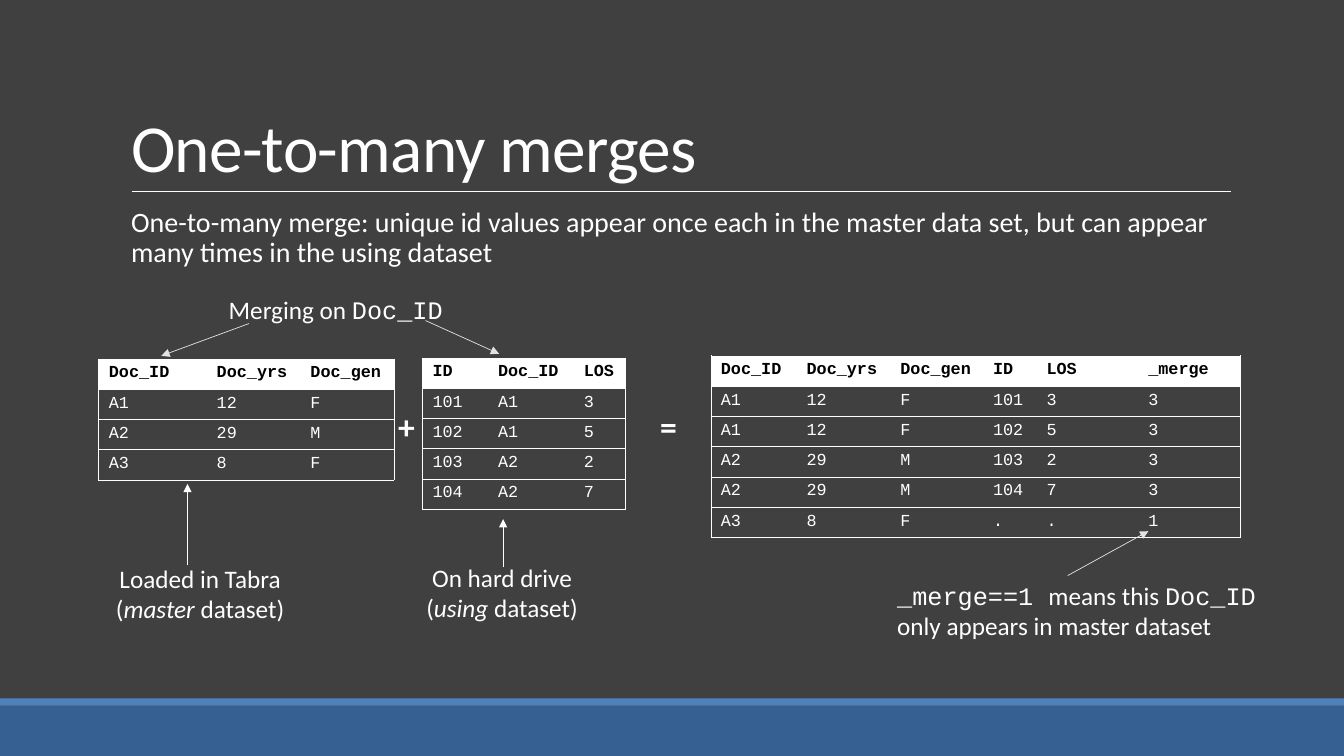
from dataclasses import dataclass

from lxml import etree
from pptx import Presentation
from pptx.dml.color import RGBColor
from pptx.enum.shapes import MSO_CONNECTOR, MSO_SHAPE
from pptx.enum.text import MSO_ANCHOR, MSO_AUTO_SIZE, PP_ALIGN
from pptx.oxml.ns import qn
from pptx.slide import Slide
from pptx.text.text import TextFrame, _Paragraph
from pptx.util import Inches, Pt

LEFT, CENTER = PP_ALIGN.LEFT, PP_ALIGN.CENTER
BOTTOM, NO_AUTOFIT = MSO_ANCHOR.BOTTOM, MSO_AUTO_SIZE.NONE
STRAIGHT, RECTANGLE = MSO_CONNECTOR.STRAIGHT, MSO_SHAPE.RECTANGLE
SANS, MONO = "Calibri", "Courier New"
WHITE, BLACK, PALE = "FFFFFF", "000000", "DFE3E5"
ROW_HEIGHT = 0.3
HAIRLINE = Pt(0.5)


@dataclass
class Span:
    text: str
    size: float = 18
    font: str = SANS
    color: str = WHITE
    bold: bool = False
    italic: bool = False


@dataclass
class Label:
    box: tuple[float, float, float, float]
    spans: list[Span]
    align: PP_ALIGN = LEFT


@dataclass
class Line:
    start: tuple[float, float]
    end: tuple[float, float]
    color: str = WHITE
    arrow: bool = True


@dataclass
class Dataset:
    left: float
    top: float
    widths: list[float]
    rows: list[str]


BANDS = [((0, 7, 13.33, 0.5), "376092"), ((0, 6.93, 13.33, 0.07), "4F81BD")]

LABELS = [
    Label((0.92, 5.54, 2.13, 0.71),
          [Span("Loaded in Tabra ("), Span("master", italic=True), Span(" dataset)")], CENTER),
    Label((4.08, 5.53, 1.8, 0.71),
          [Span("On hard drive ("), Span("using", italic=True), Span(" dataset)")], CENTER),
    Label((6.45, 3.98, 0.27, 0.5), [Span("=", 24, bold=True)]),
    Label((3.85, 3.98, 0.27, 0.5), [Span("+", 24, bold=True)]),
    Label((2.17, 2.87, 3.91, 0.71), [Span("Merging on "), Span("Doc_ID", font=MONO)]),
    Label((8.8, 5.71, 3.91, 1.01),
          [Span("_merge==1 ", font=MONO), Span("means this "), Span("Doc_ID ", font=MONO),
           Span("only appears in master dataset")]),
]

LINES = [
    Line((1.31, 1.9), (12.21, 1.9), arrow=False),
    Line((4.99, 5.63), (4.99, 5.15)),
    Line((1.86, 5.61), (1.86, 4.8)),
    Line((2.47, 3.21), (1.6, 3.53), PALE),
    Line((4.22, 3.18), (4.95, 3.51), PALE),
    Line((10.59, 5.71), (11.39, 5.27), PALE),
]

DATASETS = [
    Dataset(0.98, 3.56, [1.07, 0.93, 0.93],
            ["Doc_ID Doc_yrs Doc_gen", "A1 12 F", "A2 29 M", "A3 8 F"]),
    Dataset(4.19, 3.55, [0.65, 0.85, 0.51],
            ["ID Doc_ID LOS", "101 A1 3", "102 A1 5", "103 A2 2", "104 A2 7"]),
    Dataset(7.05, 3.53, [0.85, 0.93, 0.92, 0.53, 1.01, 1.01],
            ["Doc_ID Doc_yrs Doc_gen ID LOS _merge", "A1 12 F 101 3 3", "A1 12 F 102 5 3",
             "A2 29 M 103 2 3", "A2 29 M 104 7 3", "A3 8 F . . 1"]),
]


def rgb(color: str) -> RGBColor:
    return RGBColor.from_string(color)


def add_span(paragraph: _Paragraph, span: Span) -> None:
    run = paragraph.add_run()
    run.text = span.text
    font = run.font
    font.size, font.name = Pt(span.size), span.font
    font.bold, font.italic = span.bold, span.italic
    font.color.rgb = rgb(span.color)


def add_label(slide: Slide, label: Label) -> TextFrame:
    frame = slide.shapes.add_textbox(*map(Inches, label.box)).text_frame
    frame.word_wrap = True
    paragraph = frame.paragraphs[0]
    paragraph.alignment = label.align
    for span in label.spans:
        add_span(paragraph, span)
    return frame


def add_line(slide: Slide, line: Line) -> None:
    connector = slide.shapes.add_connector(STRAIGHT, *map(Inches, line.start + line.end))
    connector.line.width = HAIRLINE
    connector.line.color.rgb = rgb(line.color)
    properties = connector.element.spPr
    if line.arrow:
        etree.SubElement(properties.find(qn("a:ln")), qn("a:tailEnd"), type="triangle")
    etree.SubElement(properties, qn("a:effectLst"))


def set_border(cell_properties: etree._Element, side: str, visible: bool) -> None:
    border = etree.SubElement(cell_properties, qn(f"a:ln{side}"), w=str(HAIRLINE))
    if visible:
        fill = etree.SubElement(border, qn("a:solidFill"))
        etree.SubElement(fill, qn("a:srgbClr"), val=WHITE)
    else:
        etree.SubElement(border, qn("a:noFill"))


def add_dataset(slide: Slide, dataset: Dataset) -> None:
    rows, widths = dataset.rows, dataset.widths
    table = slide.shapes.add_table(
        len(rows), len(widths), Inches(dataset.left), Inches(dataset.top),
        Inches(sum(widths)), Inches(ROW_HEIGHT * len(rows))).table
    table.first_row = table.horz_banding = False
    for column, width in zip(table.columns, widths):
        column.width = Inches(width)
    for r, row in enumerate(rows):
        header = r == 0
        table.rows[r].height = Inches(ROW_HEIGHT)
        for c, value in enumerate(row.split()):
            cell = table.cell(r, c)
            add_span(cell.text_frame.paragraphs[0],
                     Span(value, 12, MONO, BLACK if header else WHITE, bold=header))
            borders = {"L": c == 0, "R": c == len(widths) - 1, "T": True, "B": True}
            for side, visible in borders.items():
                set_border(cell.fill._xPr, side, visible)
            if header:
                cell.fill.solid()
                cell.fill.fore_color.rgb = rgb(WHITE)
            else:
                cell.fill.background()


def add_title(slide: Slide) -> None:
    title = slide.shapes.title
    title.left, title.top, title.width, title.height = map(Inches, (1.2, 0.31, 11, 1.59))
    frame = title.text_frame
    frame.auto_size = NO_AUTOFIT
    frame.vertical_anchor = BOTTOM
    paragraph = frame.paragraphs[0]
    paragraph.alignment = LEFT
    paragraph.line_spacing = 0.85
    add_span(paragraph, Span("One-to-many merges", 48))
    paragraph.runs[0].font._element.set("spc", "-50")


def add_definition(slide: Slide) -> None:
    frame = add_label(slide, Label((1.3, 2.02, 10.9, 0.8), [Span(
        "One-to-many merge: unique id values appear once each in the master data set, "
        "but can appear many times in the using dataset", 20)]))
    frame.margin_left = frame.margin_right = 0
    frame.paragraphs[0].line_spacing = 0.9


def main() -> None:
    deck = Presentation()
    deck.slide_width, deck.slide_height = Inches(13.33), Inches(7.5)
    slide = deck.slides.add_slide(deck.slide_layouts.get_by_name("Title Only"))
    slide.background.fill.solid()
    slide.background.fill.fore_color.rgb = rgb("404040")
    for box, color in BANDS:
        band = slide.shapes.add_shape(RECTANGLE, *map(Inches, box))
        band.shadow.inherit = False
        band.fill.solid()
        band.fill.fore_color.rgb = rgb(color)
        band.line.fill.background()
    add_title(slide)
    add_definition(slide)
    for dataset in DATASETS:
        add_dataset(slide, dataset)
    for label in LABELS:
        add_label(slide, label)
    for line in LINES:
        add_line(slide, line)
    deck.save("out.pptx")


if __name__ == "__main__":
    main()
